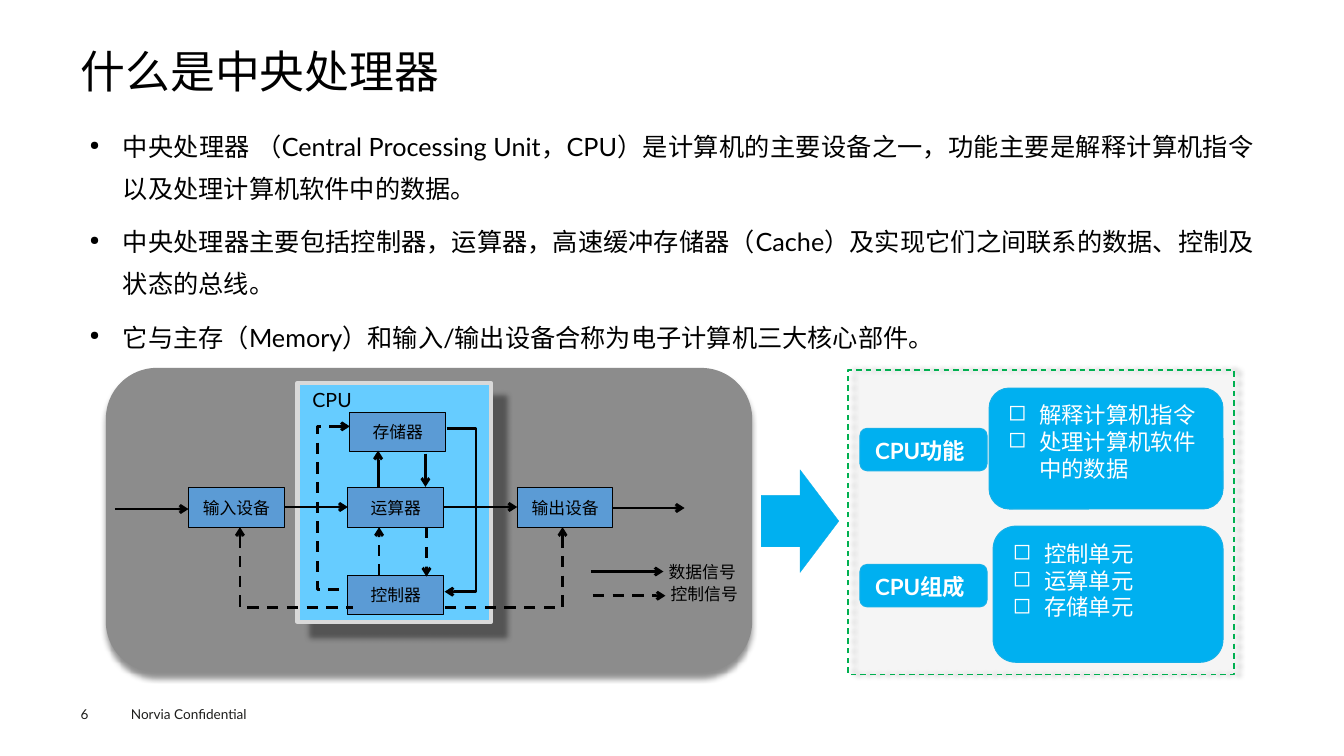
from lxml.etree import SubElement as Sub
from pptx import Presentation
from pptx.dml.color import RGBColor
from pptx.enum.dml import MSO_LINE
from pptx.enum.shapes import MSO_CONNECTOR as Conn, MSO_SHAPE as Kind
from pptx.enum.text import MSO_ANCHOR as Anchor, PP_ALIGN as Align
from pptx.oxml.ns import qn
from pptx.util import Inches, Pt

BLACK, WHITE, SKY = "000000", "FFFFFF", "00B0F0"
PAD = (0.13, 0.07)


def paint(fmt, color):
    fmt.solid()
    fmt.fore_color.rgb = RGBColor.from_string(color)


def bullet(par, char, size, indent):
    props = par._p.get_or_add_pPr()
    props.set("marL", str(Inches(indent)))
    props.set("indent", str(-Inches(indent)))
    if size != 100:
        Sub(props, qn("a:buSzPct"), val=str(size * 1000))
    Sub(props, qn("a:buChar"), char=char)


def write(shape, lines, size, color=BLACK, bold=False, pad=(0, 0),
          anchor=Anchor.TOP, mark=None, **style):
    """Fill the frame; mark is (char, percent, indent), style sets paragraph values."""
    frame = shape.text_frame
    frame.word_wrap = True
    frame.vertical_anchor = anchor
    side, top = map(Inches, pad)
    frame.margin_left = frame.margin_right = side
    frame.margin_top = frame.margin_bottom = top
    for i, line in enumerate(lines):
        par = frame.paragraphs[0] if i == 0 else frame.add_paragraph()
        for name, value in {"alignment": Align.LEFT, **style}.items():
            if i or name != "space_before":
                setattr(par, name, value)
        if mark:
            bullet(par, *mark)
        run = par.add_run()
        run.text = line
        for name, value in {"name": "Lato", "size": Pt(size), "bold": bold}.items():
            setattr(run.font, name, value)
        paint(run.font.fill, color)


def label(slide, box, lines, size, **style):
    write(slide.shapes.add_textbox(*map(Inches, box)), lines, size, **style)


def block(slide, kind, box, fill, line=None, width=0.75):
    shape = slide.shapes.add_shape(kind, *map(Inches, box))
    shape.shadow.inherit = False
    paint(shape.fill, fill)
    if line:
        paint(shape.line.fill, line)
        shape.line.width = Pt(width)
    else:
        shape.line.fill.background()
    return shape


def shade(shape, alpha, dist, angle):
    effects = shape._element.spPr.find(qn("a:effectLst"))
    outer = Sub(effects, qn("a:outerShdw"), blurRad=str(Pt(4)), dist=str(Pt(dist)),
                dir=str(angle * 60000), algn="ctr", rotWithShape="0")
    tint = Sub(outer, qn("a:srgbClr"), val=BLACK)
    Sub(tint, qn("a:alpha"), val=str(alpha * 1000))


def wire(slide, start, end, dash=False, tip="tailEnd", via=None):
    """Draw an arrow; via is the x of the upright part of a bent one."""
    kind = Conn.STRAIGHT if via is None else Conn.ELBOW
    link = slide.shapes.add_connector(kind, *map(Inches, start + end))
    paint(link.line.fill, BLACK)
    link.line.width = Pt(2)
    if dash:
        link.line.dash_style = MSO_LINE.DASH
    Sub(link.line._get_or_add_ln(), qn("a:" + tip), type="arrow")
    props = link._element.spPr
    Sub(props, qn("a:effectLst"))
    if via is not None:
        ratio = round((via - start[0]) / (end[0] - start[0]) * 100000)
        guides = props.find(qn("a:prstGeom")).find(qn("a:avLst"))
        Sub(guides, qn("a:gd"), name="adj1", fmla=f"val {ratio}")


def unit(slide, left, top, text):
    shape = block(slide, Kind.RECTANGLE, (left, top, 0.95, 0.39), "5B9BD5", BLACK)
    write(shape, [text], 12, pad=(0, 0.07), anchor=Anchor.MIDDLE,
          alignment=Align.CENTER)


def diagram(slide):
    back = block(slide, Kind.ROUNDED_RECTANGLE, (1.05, 3.65, 6.41, 3.02), "8C8C8C")
    shade(back, 44, 4, 90)
    core = block(slide, Kind.RECTANGLE, (2.95, 3.8, 1.92, 2.37), "66CCFF", "D9D9D9", 3)
    shade(core, 40, 14, 45)
    label(slide, (3, 3.8, 0.66, 0.33), ["CPU"], 14, pad=(0.1, 0.05),
          anchor=Anchor.MIDDLE)
    for left, top, text in [(3.47, 4.09, "存储器"), (3.45, 4.84, "运算器"),
                            (3.45, 5.71, "控制器"), (1.87, 4.84, "输入设备"),
                            (5.13, 4.84, "输出设备")]:
        unit(slide, left, top, text)
    for left, top, text in [(6.47, 5.52, "数据信号"), (6.49, 5.74, "控制信号")]:
        label(slide, (left, top, 0.99, 0.31), [text], 12, pad=PAD,
              anchor=Anchor.MIDDLE, alignment=Align.CENTER)
    for start, end in [((5.86, 5.67), (6.58, 5.67)), ((2.82, 5.03), (3.45, 5.03)),
                       ((4.4, 5.03), (5.13, 5.03)), ((3.75, 4.84), (3.75, 4.47)),
                       ((4.22, 4.5), (4.22, 4.83)), ((1.14, 5.05), (1.87, 5.05)),
                       ((6.07, 5.04), (6.79, 5.04))]:
        wire(slide, start, end)
    for start, end in [((5.88, 5.91), (6.6, 5.91)), ((3.76, 5.71), (3.76, 5.23)),
                       ((4.23, 5.23), (4.23, 5.72))]:
        wire(slide, start, end, dash=True)
    for start, end, via in [((2.38, 5.23), (3.5, 6.03), 2.38),
                            ((3.47, 4.23), (3.45, 5.85), 3.15),
                            ((5.58, 5.23), (4.41, 6.03), 5.58)]:
        wire(slide, start, end, dash=True, tip="headEnd", via=via)
    wire(slide, (4.43, 4.25), (4.41, 5.87), via=4.72)


def summary(slide):
    panel = block(slide, Kind.RECTANGLE, (8.41, 3.67, 3.83, 3.02), WHITE, "00B050", 1)
    panel.line.dash_style = MSO_LINE.DASH
    tint = panel._element.spPr.find(qn("a:solidFill"))[0]
    Sub(tint, qn("a:alpha"), val="10000")
    shade(panel, 43, 4, 0)
    for top, name, box, lines in [
            (4.25, "CPU功能", (9.81, 3.85, 2.32, 1.2),
             ["解释计算机指令", "处理计算机软件中的数据"]),
            (5.6, "CPU组成", (9.85, 5.22, 2.28, 1.35),
             ["控制单元", "运算单元", "存储单元"])]:
        tag = block(slide, Kind.ROUNDED_RECTANGLE, (8.53, top, 1.26, 0.42), SKY, "15B0E8")
        write(tag, [name], 16, WHITE, bold=True, pad=PAD)
        card = block(slide, Kind.ROUNDED_RECTANGLE, box, SKY, "15B0E8")
        write(card, lines, 16, WHITE, pad=PAD, mark=("◻", 100, 0.31))
    block(slide, Kind.RIGHT_ARROW, (7.55, 4.66, 0.77, 1.02), SKY, "15B0E8", 0.25)


def main():
    deck = Presentation()
    deck.slide_width, deck.slide_height = Inches(13.33), Inches(7.5)
    slide = deck.slides.add_slide(deck.slide_layouts[6])
    label(slide, (0.8, 0.49, 11.73, 0.53), ["什么是中央处理器"], 32, line_spacing=0.9)
    label(slide, (0.8, 1.15, 11.73, 2.45), [
        "中央处理器 （Central Processing Unit，CPU）是计算机的主要设备之一，"
        "功能主要是解释计算机指令以及处理计算机软件中的数据。",
        "中央处理器主要包括控制器，运算器，高速缓冲存储器（Cache）"
        "及实现它们之间联系的数据、控制及状态的总线。",
        "它与主存（Memory）和输入/输出设备合称为电子计算机三大核心部件。",
    ], 18, pad=(0.09, 0.04), mark=("●", 50, 0.33), alignment=Align.JUSTIFY,
        line_spacing=Pt(30), space_before=Pt(7.9))
    diagram(slide)
    summary(slide)
    label(slide, (0.8, 7, 0.55, 0.16), ["6"], 9.7, color="1D1D1B")
    label(slide, (1.2, 6.95, 1.6, 0.27), ["Norvia Confidential"], 9.7,
          color="1D1D1B", pad=(0.1, 0.05))
    deck.save("out.pptx")


if __name__ == "__main__":
    main()
